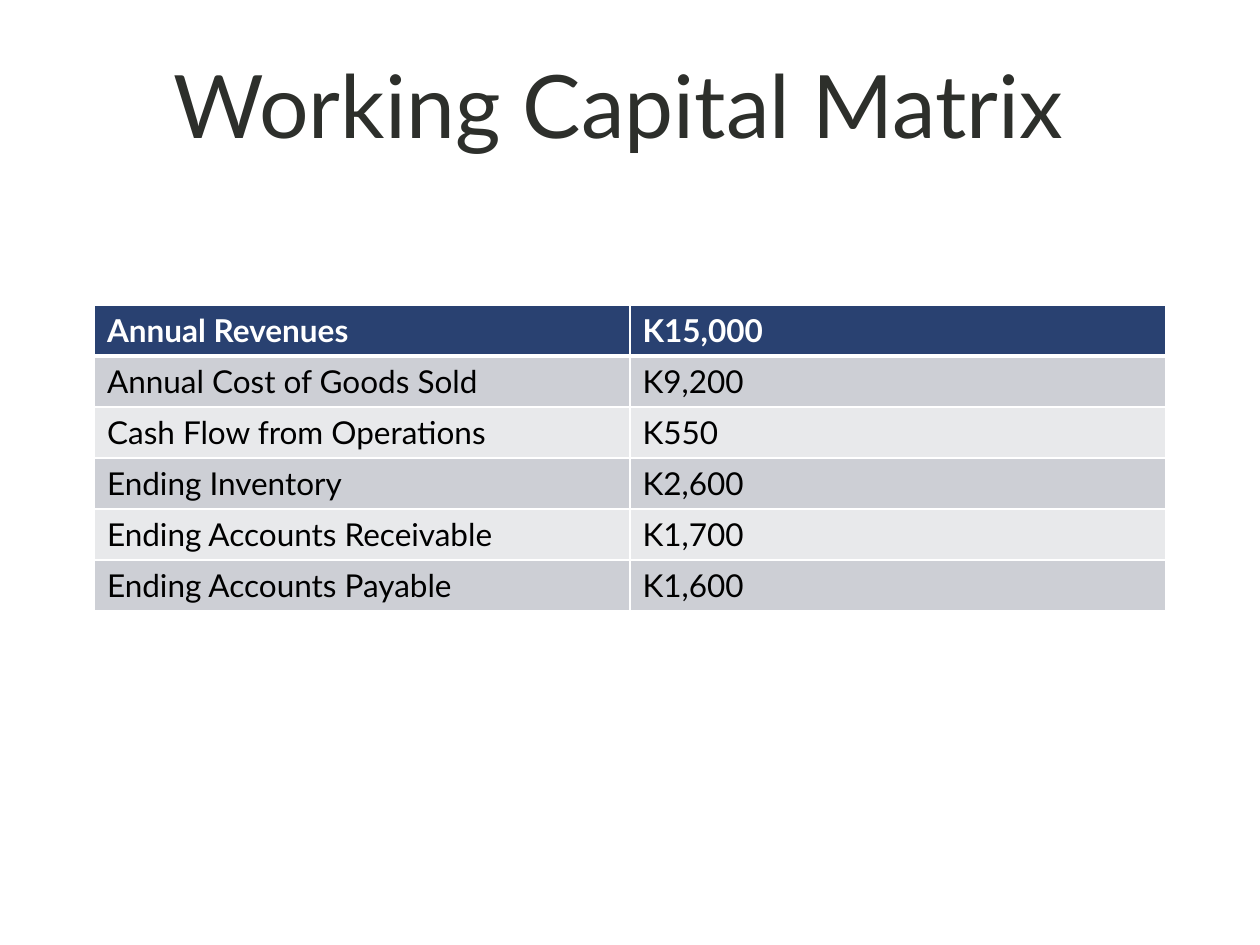
from lxml.etree import SubElement
from pptx import Presentation
from pptx.dml.color import RGBColor
from pptx.enum.text import MSO_ANCHOR, PP_ALIGN
from pptx.oxml.ns import qn
from pptx.util import Inches, Pt

FONT = "Lato"
WHITE = "FFFFFF"
HEADER_FILL = "294171"
BAND_FILLS = ["CDCFD5", "E8E9EB"]
MATRIX = [
    ("Annual Revenues", "K15,000"),
    ("Annual Cost of Goods Sold", "K9,200"),
    ("Cash Flow from Operations", "K550"),
    ("Ending Inventory", "K2,600"),
    ("Ending Accounts Receivable", "K1,700"),
    ("Ending Accounts Payable", "K1,600"),
]


def set_fill(fill, color):
    fill.solid()
    fill.fore_color.rgb = RGBColor.from_string(color)


def set_font(paragraph, size, color, bold=False):
    font = paragraph.font
    font.name = FONT
    font.size = Pt(size)
    font.bold = bold
    font.color.rgb = RGBColor.from_string(color)


def set_borders(cell, color, top, bottom):
    properties = cell._tc.get_or_add_tcPr()
    for side, width in (("L", 1), ("R", 1), ("T", top), ("B", bottom)):
        line = SubElement(properties, qn(f"a:ln{side}"), w=str(Pt(width)))
        solid = SubElement(line, qn("a:solidFill"))
        SubElement(solid, qn("a:srgbClr"), val=color)


def place_title(slide, left, top, width, height):
    title = slide.shapes.title
    title.left, title.top, title.width, title.height = left, top, width, height
    frame = title.text_frame
    frame.text = "Working Capital Matrix "
    frame.vertical_anchor = MSO_ANCHOR.MIDDLE
    heading = frame.paragraphs[0]
    heading.alignment = PP_ALIGN.CENTER
    set_font(heading, 50, "2D2F2B")


def place_matrix(slide, left, top, width, height):
    matrix = slide.shapes.add_table(
        len(MATRIX), len(MATRIX[0]), left, top, width, height
    ).table
    for row, entries in enumerate(MATRIX):
        is_header = row == 0
        fill = HEADER_FILL if is_header else BAND_FILLS[(row - 1) % 2]
        for column, entry in enumerate(entries):
            cell = matrix.cell(row, column)
            cell.text = entry
            set_font(cell.text_frame.paragraphs[0], 18,
                     WHITE if is_header else "000000", bold=is_header)
            set_borders(cell, WHITE, top=3 if row == 1 else 1,
                        bottom=3 if is_header else 1)
            set_fill(cell.fill, fill)


def main():
    presentation = Presentation()
    presentation.slide_width = Inches(10)
    presentation.slide_height = Inches(7.5)
    slide = presentation.slides.add_slide(presentation.slide_layouts[5])
    set_fill(slide.background.fill, WHITE)
    place_title(slide, Inches(0.75), Inches(0.07), Inches(8.5), Inches(1.5))
    place_matrix(slide, Inches(0.75), Inches(2.42), Inches(8.5), Inches(2.43))
    presentation.save("out.pptx")


if __name__ == "__main__":
    main()
